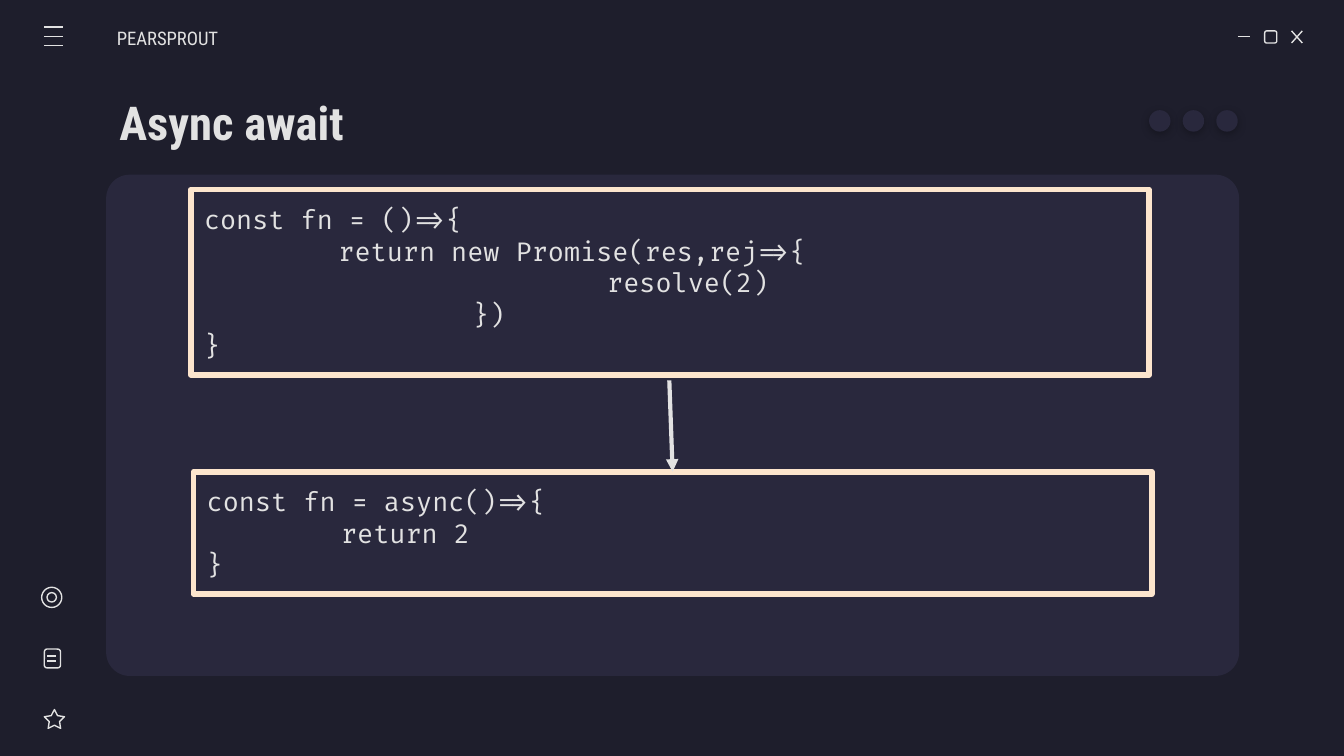
from dataclasses import dataclass
from lxml import etree
from pptx import Presentation
from pptx.dml.color import RGBColor
from pptx.enum.shapes import MSO_CONNECTOR as Link, MSO_SHAPE as Kind
from pptx.enum.text import MSO_ANCHOR as Anchor, MSO_AUTO_SIZE as Fit, PP_ALIGN as Align
from pptx.oxml import parse_xml
from pptx.oxml.ns import nsdecls, qn
from pptx.util import Inches, Pt


@dataclass(frozen=True)
class Theme:
    back: str = "1E1E2C"
    panel: str = "29283D"
    ink: str = "E2E2E2"
    frame: str = "FCE5CD"
    head: str = "Roboto Condensed"
    code: str = "Fira Code"
    title: float = 25
    body: float = 14
    label: float = 10
    thin: float = 0.75
    bold: float = 2.25
    thick: float = 3


@dataclass(frozen=True)
class Box:
    x: float
    y: float
    w: float
    h: float

    def sub(self, dx, dy, w, h):
        return Box(self.x + dx, self.y + dy, w, h)

    def emu(self):
        return [Inches(v) for v in (self.x, self.y, self.w, self.h)]


T = Theme()

FIRST = "\n".join((
    "const fn = ()=>{",
    "\treturn new Promise(res,rej=>{",
    "\t\t\tresolve(2)",
    "\t\t})",
    "}",
))
SECOND = "\n".join(("const fn = async()=>{", "\treturn 2", "}"))


def rgb(code):
    return RGBColor.from_string(code)


def add_form(slide, kind, box, fill=None, line=None, width=T.thin, adj=()):
    form = slide.shapes.add_shape(kind, *box.emu())
    form.shadow.inherit = False
    for i, value in enumerate(adj):
        form.adjustments[i] = value
    if fill:
        form.fill.solid()
        form.fill.fore_color.rgb = rgb(fill)
    else:
        form.fill.background()
    if line:
        form.line.color.rgb = rgb(line)
        form.line.width = Pt(width)
    else:
        form.line.fill.background()
    return form


def add_line(slide, x1, y1, x2, y2, width=T.thin):
    ends = [Inches(v) for v in (x1, y1, x2, y2)]
    line = slide.shapes.add_connector(Link.STRAIGHT, *ends)
    line.line.color.rgb = rgb(T.ink)
    line.line.width = Pt(width)
    etree.SubElement(line._element.spPr, qn("a:effectLst"))
    return line


def set_text(form, text, font, size, bold=False, left=0.1):
    frame = form.text_frame
    frame.word_wrap = True
    frame.vertical_anchor = Anchor.MIDDLE
    frame.margin_left = Inches(left)
    frame.margin_right = frame.margin_top = frame.margin_bottom = Inches(0.1)
    para = frame.paragraphs[0]
    para.text = text
    para.alignment = Align.LEFT
    # One-inch tabs
    para._p.get_or_add_pPr().set("defTabSz", str(Inches(1)))
    for run in para.runs:
        run.font.name = font
        run.font.size = Pt(size)
        run.font.bold = bold
        run.font.color.rgb = rgb(T.ink)


def add_menu(slide, box):
    for i in range(3):
        y = box.y + i * box.h / 2
        add_line(slide, box.x, y, box.x + box.w, y)


def add_window(slide, box):
    # Minimise, maximise, close
    x, y = box.x, box.y
    add_line(slide, x, y + 0.04, x + 0.09, y + 0.04)
    add_form(slide, Kind.ROUNDED_RECTANGLE, box.sub(0.2, 0, 0.09, 0.09), line=T.ink)
    left, right = x + 0.4, x + box.w
    add_line(slide, left, y, right, y + box.h)
    add_line(slide, right, y, left, y + box.h)


def add_icons(slide, box):
    # Target
    for gap in (0, 0.04):
        size = 0.15 - 2 * gap
        add_form(slide, Kind.OVAL, box.sub(gap, gap, size, size), line=T.ink)
    # Note
    note = box.sub(0.02, 0.46, 0.12, 0.14)
    add_form(slide, Kind.ROUNDED_RECTANGLE, note, line=T.ink)
    for dy in (0.05, 0.09):
        y = note.y + dy
        add_line(slide, note.x + 0.02, y, note.x + 0.09, y)
    # Star
    add_form(slide, Kind.STAR_5_POINT, box.sub(0.02, 0.91, 0.15, 0.14),
             line=T.ink, adj=(0.254, 1.051, 1.106))


def add_dots(slide, box):
    step = (box.w - box.h) / 2
    for i in range(3):
        dot = add_form(slide, Kind.OVAL, box.sub(i * step, 0, box.h, box.h), fill=T.panel)
        props = dot._element.spPr
        props.remove(props.find(qn("a:effectLst")))
        props.append(parse_xml(
            f'<a:effectLst {nsdecls("a")}><a:outerShdw blurRad="{Pt(4.5)}" '
            f'dist="{Pt(1.5)}" dir="5400000" algn="bl" rotWithShape="0">'
            '<a:srgbClr val="000000"><a:alpha val="27000"/></a:srgbClr>'
            '</a:outerShdw></a:effectLst>'))


def add_label(slide, box, text, size, bold=False, left=0.1):
    set_text(slide.shapes.add_textbox(*box.emu()), text, T.head, size, bold, left)


def add_code(slide, box, text):
    form = add_form(slide, Kind.RECTANGLE, box, line=T.frame, width=T.thick)
    set_text(form, text, T.code, T.body)
    form.text_frame.auto_size = Fit.SHAPE_TO_FIT_TEXT
    return form


def add_panel(slide, box):
    add_form(slide, Kind.ROUNDED_RECTANGLE, box, fill=T.panel, adj=(0.047,))
    add_code(slide, box.sub(0.63, 0.11, 7.13, 1.38), FIRST)
    low = add_code(slide, box.sub(0.65, 2.21, 7.13, 0.91), SECOND)
    # Arrow from just below the promise form to the async form
    x, y = box.x, box.y
    arrow = add_line(slide, x + 4.19, y + 1.53, x + 4.21, y + 2.21, T.bold)
    arrow.end_connect(low, 0)
    tail = etree.SubElement(arrow.line._get_or_add_ln(), qn("a:tailEnd"))
    tail.set("type", "triangle")


def main():
    deck = Presentation()
    deck.slide_width = Inches(10)
    deck.slide_height = deck.slide_width * 9 // 16
    slide = deck.slides.add_slide(deck.slide_layouts[6])
    slide.background.fill.solid()
    slide.background.fill.fore_color.rgb = rgb(T.back)

    # Panel and code
    add_panel(slide, Box(0.79, 1.3, 8.43, 3.73))
    # Top bar
    add_menu(slide, Box(0.33, 0.2, 0.14, 0.14))
    add_label(slide, Box(0.87, 0.13, 1.17, 0.3), "PEARSPROUT", T.label, left=0)
    add_window(slide, Box(9.21, 0.23, 0.48, 0.09))
    # Heading
    add_label(slide, Box(0.79, 0.59, 8.43, 0.63), "Async await", T.title, bold=True)
    add_dots(slide, Box(8.55, 0.82, 0.66, 0.16))
    # Side bar
    add_icons(slide, Box(0.31, 4.37, 0.17, 1.05))
    deck.save("out.pptx")


if __name__ == "__main__":
    main()
